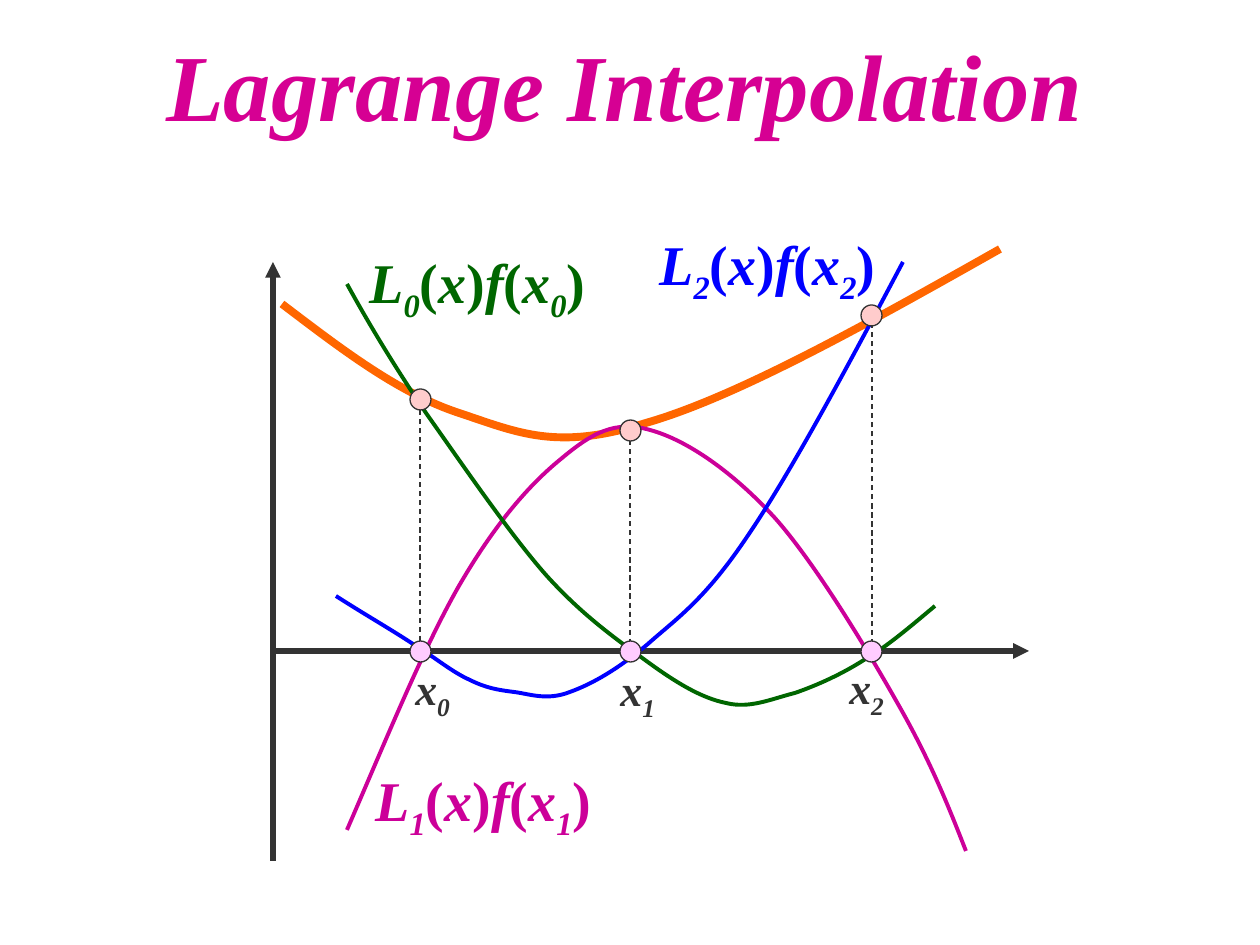
"""Build the Lagrange interpolation slide with its curves, axes and labels."""
from typing import NamedTuple

import pptx
import pptx.dml.color
import pptx.enum.dml
import pptx.enum.shapes
import pptx.enum.text
import pptx.oxml
import pptx.oxml.ns
import pptx.util

EMU_PER_PX = 914400 / 126
DOT_SIZE = 21
AXIS_Y = 651
FONT_NAME = "Times New Roman"

TITLE_PINK = pptx.dml.color.RGBColor(0xD6, 0x00, 0x93)
ORANGE = pptx.dml.color.RGBColor(0xFF, 0x66, 0x00)
MAGENTA = pptx.dml.color.RGBColor(0xCC, 0x00, 0x99)
BLUE = pptx.dml.color.RGBColor(0x00, 0x00, 0xFF)
GREEN = pptx.dml.color.RGBColor(0x00, 0x66, 0x00)
DARK = pptx.dml.color.RGBColor(0x33, 0x33, 0x33)
NODE_FILL = pptx.dml.color.RGBColor(0xFF, 0xCC, 0xFF)
VALUE_FILL = pptx.dml.color.RGBColor(0xFF, 0xCC, 0xCC)

Point = tuple[int, int]


class Curve(NamedTuple):
    color: pptx.dml.color.RGBColor
    width: float
    knots: list[Point]


class Line(NamedTuple):
    start: Point
    end: Point
    width: float
    dashed: bool = False


class Label(NamedTuple):
    text: str
    left: int
    top: int
    width: int
    height: int
    size: int
    color: pptx.dml.color.RGBColor


class Dot(NamedTuple):
    left: int
    top: int
    color: pptx.dml.color.RGBColor


INTERPOLANT = Curve(ORANGE, 4.5, [
    (282, 304), (340, 348), (398, 393), (459, 413), (519, 433), (557, 451),
    (646, 423), (737, 397), (869, 323), (1000, 249)])
BASIS_CURVES = [
    Curve(MAGENTA, 2.25, [
        (347, 830), (386, 740), (423, 649), (459, 586), (495, 524), (529, 485),
        (561, 459), (592, 433), (615, 420), (650, 430), (687, 440), (733, 472),
        (775, 518), (815, 563), (867, 649), (898, 704), (930, 760), (948, 805),
        (966, 851)]),
    Curve(BLUE, 2.25, [
        (336, 596), (364, 614), (392, 630), (413, 644), (436, 658), (452, 672),
        (470, 680), (486, 688), (498, 690), (514, 692), (530, 694), (547, 701),
        (570, 692), (592, 684), (617, 670), (648, 644), (676, 619), (704, 601),
        (747, 537), (790, 474), (847, 368), (903, 262)]),
    Curve(GREEN, 2.25, [
        (935, 606), (911, 626), (888, 646), (864, 660), (842, 674), (818, 685),
        (795, 693), (771, 699), (750, 709), (726, 703), (701, 698), (675, 682),
        (645, 660), (616, 639), (582, 615), (546, 575), (509, 533), (460, 461),
        (426, 413), (393, 364), (369, 324), (347, 284)]),
]
AXES = [
    Line((273, AXIS_Y), (1029, AXIS_Y), 3),
    Line((273, 861), (273, 262), 3),
]
ORDINATES = [
    Line((420, 410), (420, AXIS_Y), 0.75, True),
    Line((630, 431), (630, AXIS_Y), 0.75, True),
    Line((872, 662), (872, 315), 0.75, True),
]
DOT_LEFTS = [410, 620, 861]
DOTS = [Dot(left, 641, NODE_FILL) for left in DOT_LEFTS] + [
    Dot(left, top, VALUE_FILL) for left, top in zip(DOT_LEFTS, [389, 420, 305])]
TITLE = Label("Lagrange Interpolation", 84, 31, 1081, 116, 54, TITLE_PINK)
TERM_LABELS = [
    Label("L1(x)f(x1)", 363, 759, 255, 89, 32, MAGENTA),
    Label("L2(x)f(x2)", 647, 223, 265, 89, 32, BLUE),
    Label("L0(x)f(x0)", 357, 241, 272, 89, 32, GREEN),
]
NODE_LABELS = [
    Label("x0", 403, 656, 71, 73, 25, DARK),
    Label("x1", 608, 657, 71, 73, 25, DARK),
    Label("x2", 837, 655, 71, 73, 25, DARK),
]


def px(length: int) -> pptx.util.Emu:
    return pptx.util.Emu(round(length * EMU_PER_PX))


def set_line(line, color: pptx.dml.color.RGBColor, width: float) -> None:
    line.color.rgb = color
    line.width = pptx.util.Pt(width)


def bend_segments(outline) -> None:
    segments = list(outline._element.iter(pptx.oxml.ns.qn("a:lnTo")))
    for first, second, third in zip(segments[::3], segments[1::3], segments[2::3]):
        first.tag = pptx.oxml.ns.qn("a:cubicBezTo")
        for segment in (second, third):
            first.append(segment[0])
            segment.getparent().remove(segment)


def draw_curve(shapes, curve: Curve) -> None:
    start, *rest = [(px(x), px(y)) for x, y in curve.knots]
    builder = shapes.build_freeform(*start, scale=1.0)
    builder.add_line_segments(rest, close=False)
    outline = builder.convert_to_shape()
    bend_segments(outline)
    outline.shadow.inherit = False
    outline.fill.background()
    set_line(outline.line, curve.color, curve.width)


def draw_line(shapes, line: Line) -> None:
    connector = shapes.add_connector(
        pptx.enum.shapes.MSO_CONNECTOR.STRAIGHT,
        *(px(v) for v in (*line.start, *line.end)))
    set_line(connector.line, DARK, line.width)
    properties = connector._element.spPr
    if line.dashed:
        connector.line.dash_style = pptx.enum.dml.MSO_LINE.DASH
    else:
        arrow = pptx.oxml.parse_xml(
            f'<a:tailEnd {pptx.oxml.ns.nsdecls("a")} type="triangle"/>')
        properties.find(pptx.oxml.ns.qn("a:ln")).append(arrow)
    properties.append(pptx.oxml.parse_xml(
        f'<a:effectLst {pptx.oxml.ns.nsdecls("a")}/>'))


def draw_dot(shapes, dot: Dot) -> None:
    marker = shapes.add_shape(
        pptx.enum.shapes.MSO_SHAPE.OVAL, px(dot.left), px(dot.top),
        px(DOT_SIZE), px(DOT_SIZE))
    marker.shadow.inherit = False
    marker.fill.solid()
    marker.fill.fore_color.rgb = dot.color
    set_line(marker.line, DARK, 0.75)


def add_label_box(shapes, label: Label, frame_format: dict):
    box = shapes.add_textbox(*(px(v) for v in label[1:5]))
    for name, value in {"word_wrap": True, **frame_format}.items():
        setattr(box.text_frame, name, value)
    return box.text_frame.paragraphs[0]


def add_run(paragraph, text: str, label: Label, italic: bool = True):
    run = paragraph.add_run()
    run.text = text
    run_format = {"name": FONT_NAME, "size": pptx.util.Pt(label.size),
                  "bold": True, "italic": italic}
    for name, value in run_format.items():
        setattr(run.font, name, value)
    run.font.color.rgb = label.color
    return run


def draw_title(shapes, label: Label) -> None:
    paragraph = add_label_box(
        shapes, label, {"vertical_anchor": pptx.enum.text.MSO_ANCHOR.BOTTOM})
    paragraph.alignment = pptx.enum.text.PP_ALIGN.CENTER
    add_run(paragraph, label.text, label)


def draw_formula(shapes, label: Label) -> None:
    paragraph = add_label_box(
        shapes, label,
        {"auto_size": pptx.enum.text.MSO_AUTO_SIZE.SHAPE_TO_FIT_TEXT})
    for symbol in label.text:
        run = add_run(paragraph, symbol, label, italic=symbol not in "()")
        if symbol.isdigit():
            run._r.get_or_add_rPr().set("baseline", "-25000")


def main() -> None:
    presentation = pptx.Presentation()
    presentation.slide_width = px(1260)
    presentation.slide_height = px(945)
    shapes = presentation.slides.add_slide(presentation.slide_layouts[6]).shapes
    draw_curve(shapes, INTERPOLANT)
    draw_title(shapes, TITLE)
    for draw, parts in [
            (draw_line, AXES), (draw_curve, BASIS_CURVES),
            (draw_line, ORDINATES), (draw_formula, TERM_LABELS),
            (draw_dot, DOTS), (draw_formula, NODE_LABELS)]:
        for part in parts:
            draw(shapes, part)
    presentation.save("out.pptx")


if __name__ == "__main__":
    main()
